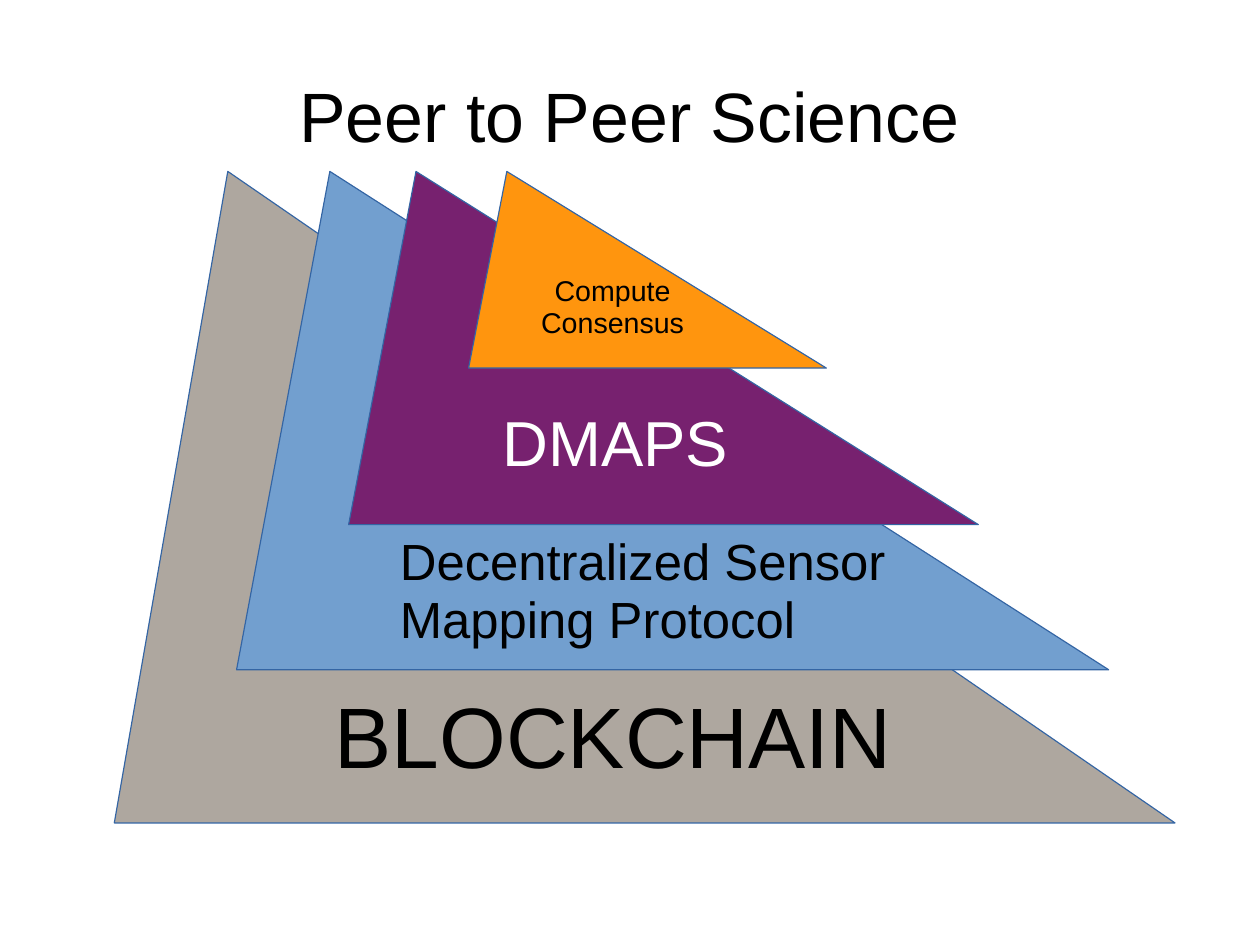
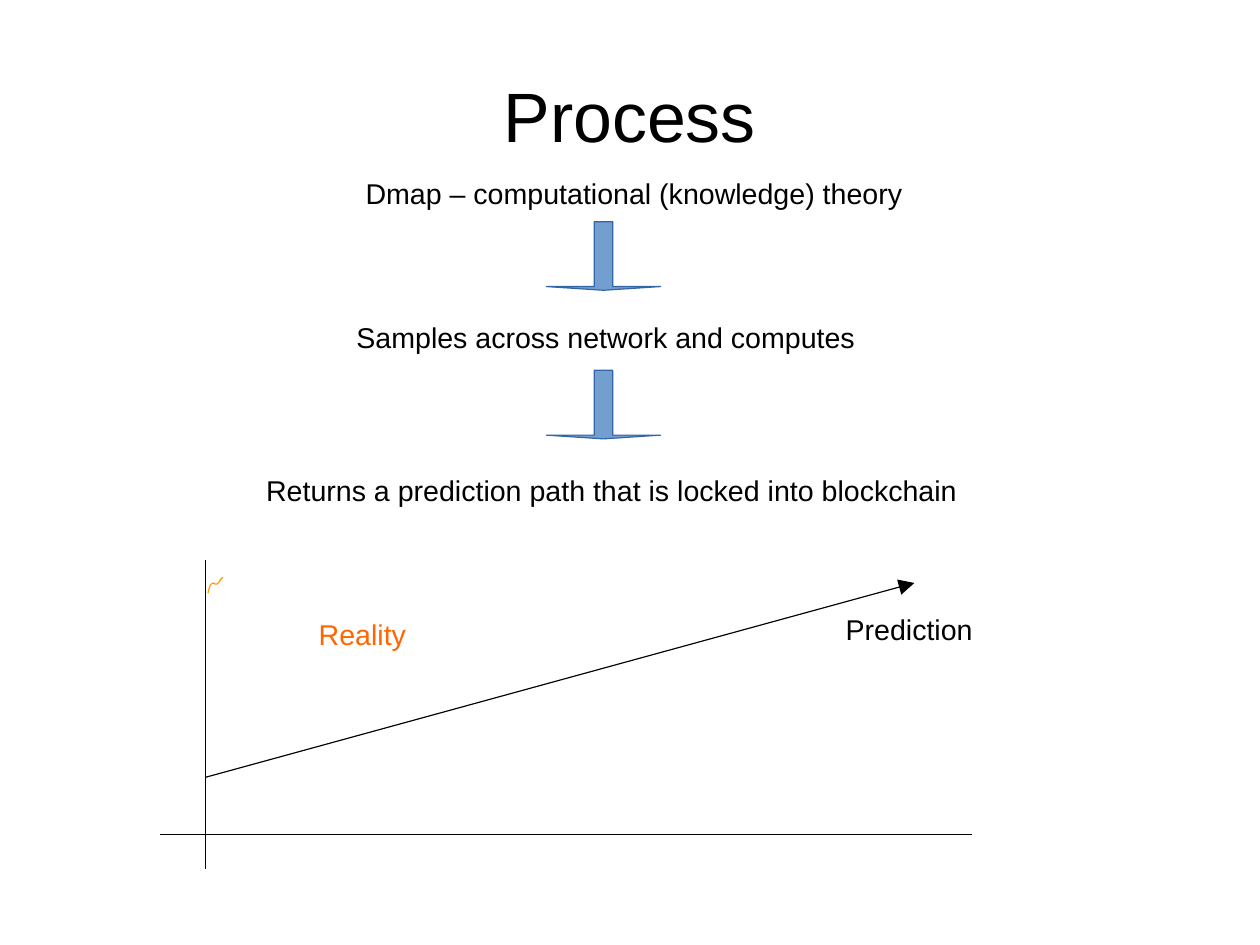
from dataclasses import dataclass

import pptx
import pptx.dml.color
import pptx.enum.shapes
import pptx.enum.text
import pptx.oxml
import pptx.oxml.ns
import pptx.util

Inches = pptx.util.Inches
SHAPE = pptx.enum.shapes.MSO_SHAPE
ALIGN = pptx.enum.text.PP_ALIGN
CM_PER_INCH = 2.54


@dataclass(frozen=True)
class Theme:
    font: str = "Arial"
    black: str = "000000"
    white: str = "FFFFFF"
    outline: str = "3465A4"
    blue: str = "729FCF"
    grey: str = "AEA79F"
    purple: str = "77216F"
    orange: str = "FF950E"
    reality_text: str = "FF6600"
    reality_line: str = "FF9900"
    title_size: int = 44
    blockchain_size: int = 54
    dmaps_size: int = 40
    protocol_size: int = 32
    body_size: int = 18
    line_width: float = 0.75
    spacing: float = 0.94


THEME = Theme()


def rgb(value):
    return pptx.dml.color.RGBColor.from_string(value)


def write(tf, lines, size, color, align, insets):
    """Fill a text frame; insets are left, top, right, bottom in inches."""
    tf.word_wrap = True
    tf.auto_size = pptx.enum.text.MSO_AUTO_SIZE.NONE
    tf.margin_left, tf.margin_top, tf.margin_right, tf.margin_bottom = map(Inches, insets)
    for i, line in enumerate(lines):
        p = tf.paragraphs[0] if i == 0 else tf.add_paragraph()
        p.text = line
        p.alignment = align
        p.line_spacing = THEME.spacing
        p.font.name = THEME.font
        p.font.size = pptx.util.Pt(size)
        p.font.color.rgb = rgb(color)


def add_text(slide, box, *lines, size=THEME.body_size, color=THEME.black,
             align=ALIGN.LEFT, top_inset=0.06):
    sp = slide.shapes.add_textbox(*map(Inches, box))
    write(sp.text_frame, lines, size, color, align, (0.1, top_inset, 0.1, 0.05))


def set_line(sp, color):
    sp.line.color.rgb = rgb(color)
    sp.line.width = pptx.util.Pt(THEME.line_width)


def add_preset(slide, preset, box, fill, *adjustments):
    sp = slide.shapes.add_shape(preset, *map(Inches, box))
    sp.shadow.inherit = False
    for i, value in enumerate(adjustments):
        sp.adjustments[i] = value
    sp.fill.solid()
    sp.fill.fore_color.rgb = rgb(fill)
    set_line(sp, THEME.outline)


def add_line(slide, start, end, arrow=False):
    line = slide.shapes.add_connector(
        pptx.enum.shapes.MSO_CONNECTOR.STRAIGHT, *map(Inches, (*start, *end)))
    set_line(line, THEME.black)
    ns = pptx.oxml.ns.nsdecls("a")
    if arrow:
        line.line._get_or_add_ln().append(
            pptx.oxml.parse_xml(f'<a:tailEnd {ns} type="triangle" w="lg" len="lg"/>'))
    line._element.spPr.append(pptx.oxml.parse_xml(f"<a:effectLst {ns}/>"))


def add_titled_slide(prs, title):
    slide = prs.slides.add_slide(prs.slide_layouts[5])
    sp = slide.shapes.title
    sp.left, sp.top, sp.width, sp.height = map(Inches, (0.55, 0.33, 9.92, 1.38))
    write(sp.text_frame, [title], THEME.title_size, THEME.black, ALIGN.CENTER, (0, 0.04, 0, 0))
    sp.text_frame.vertical_anchor = pptx.enum.text.MSO_ANCHOR.MIDDLE
    return slide


def layer_stack(slide, top):
    """Nested triangles sharing one top edge, largest at the back."""
    layers = [
        (1, 9.28, 5.7, THEME.grey),
        (2.07, 7.63, 4.36, THEME.blue),
        (3.05, 5.51, 3.09, THEME.purple),
        (4.1, 3.13, 1.72, THEME.orange),
    ]
    for left, width, height, fill in layers:
        add_preset(slide, SHAPE.ISOSCELES_TRIANGLE, (left, top, width, height), fill, 0.107)
    add_text(slide, (2.83, top + 4.46, 5.32, 0.94), "BLOCKCHAIN",
             size=THEME.blockchain_size, top_inset=0.09)
    add_text(slide, (4.56, top + 0.85, 1.6, 0.66), "Compute", "Consensus", align=ALIGN.CENTER)
    add_text(slide, (4.3, top + 2, 3.22, 0.94), "DMAPS",
             size=THEME.dmaps_size, color=THEME.white, top_inset=0.08)
    add_text(slide, (3.4, top + 3.1, 4.6, 1.1), "Decentralized Sensor Mapping Protocol",
             size=THEME.protocol_size, top_inset=0.08)


def process_steps(slide, top):
    """Three statements with a down arrow after each of the first two."""
    steps = [
        (3.1, 0, 5.3, "Dmap – computational (knowledge) theory"),
        (3.02, 1.26, 5.3, "Samples across network and computes"),
        (2.23, 2.6, 6.44, "Returns a prediction path that is locked into blockchain"),
    ]
    for left, drop, width, text in steps:
        add_text(slide, (left, top + drop, width, 0.38), text)
    for drop in (0.44, 1.74):
        add_preset(slide, SHAPE.DOWN_ARROW, (4.78, top + drop, 1, 0.6), THEME.blue, 0.162, 0.054)


def reality_curve(slide, x, y):
    """Short open curve starting at (x, y), plotted in hundredths of an inch."""
    steps = [(0, 0), (1, 4), (2, 7), (3, 8), (5, 9), (6, 8), (8, 8), (10, 10), (11, 12), (13, 14)]
    points = [(100 * x + dx, 100 * y - dy) for dx, dy in steps]
    builder = slide.shapes.build_freeform(*points[0], scale=Inches(0.01))
    builder.add_line_segments(points[1:], close=False)
    sp = builder.convert_to_shape()
    sp.shadow.inherit = False
    sp.fill.background()
    set_line(sp, THEME.reality_line)


def prediction_sketch(slide, x, y):
    """Axes crossing at (x, y), with the prediction arrow and reality curve."""
    add_line(slide, (x, y - 2.4), (x, y + 0.3))
    add_line(slide, (x - 0.4, y), (x + 6.7, y))
    add_line(slide, (x, y - 0.5), (x + 6.2, y - 2.2), arrow=True)
    add_text(slide, (x + 5.5, y - 1.98, 1.8, 0.38), "Prediction")
    reality_curve(slide, x + 0.02, y - 2.11)
    add_text(slide, (x + 0.89, y - 1.94, 1.8, 0.38), "Reality", color=THEME.reality_text)


def main():
    prs = pptx.Presentation()
    prs.slide_width = Inches(28 / CM_PER_INCH)
    prs.slide_height = Inches(21 / CM_PER_INCH)
    layer_stack(add_titled_slide(prs, "Peer to Peer Science"), 1.5)
    slide = add_titled_slide(prs, "Process")
    process_steps(slide, 1.5)
    prediction_sketch(slide, 1.8, 7.3)
    prs.save("out.pptx")


if __name__ == "__main__":
    main()
